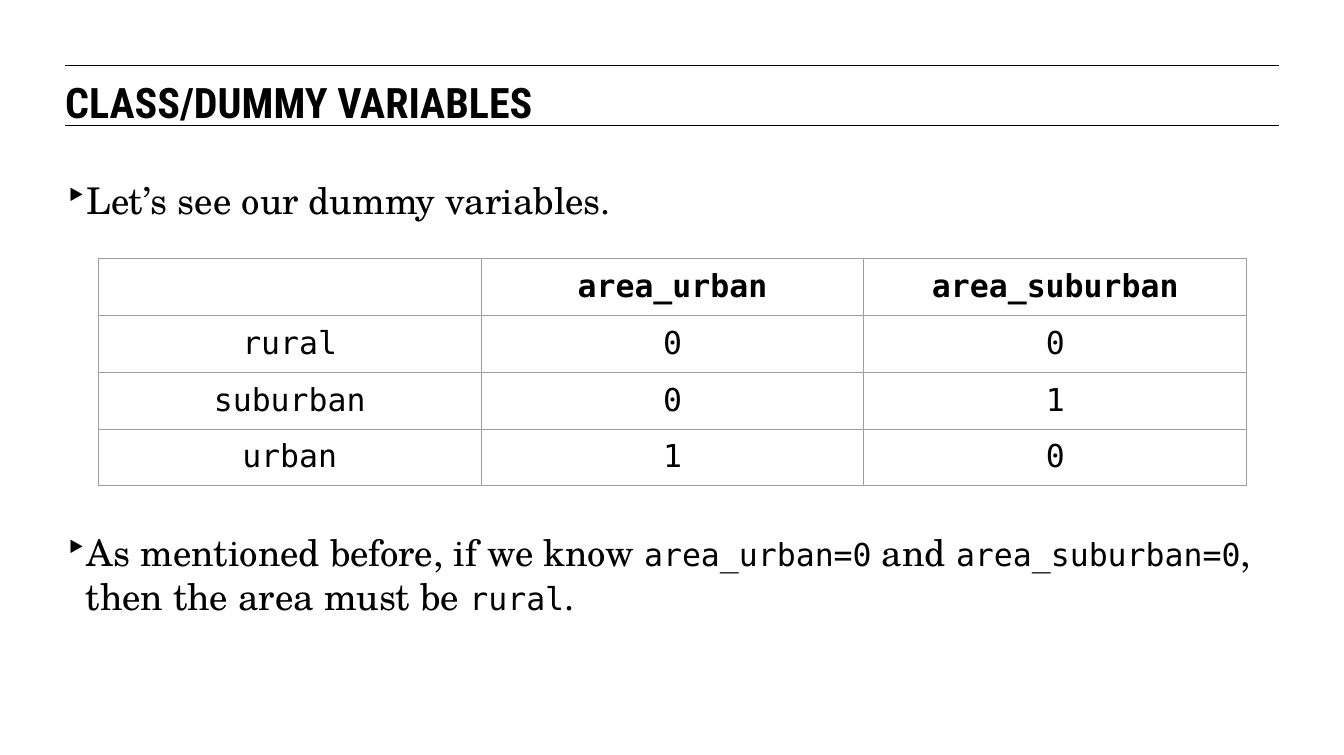
from lxml import etree
from pptx import Presentation
from pptx.dml.color import RGBColor
from pptx.enum import shapes, text
from pptx.oxml import ns
from pptx.util import Inches, Pt

BLACK = RGBColor(0x00, 0x00, 0x00)
BORDER_GRAY = RGBColor(0x9E, 0x9E, 0x9E)
TITLE_FONT = "Roboto Condensed"
BODY_FONT = "TeX Gyre Schola"
CODE_FONT = "DejaVu Sans Mono"
LEFT, RIGHT = 0.69, 13.53


def add_text(top, height, runs, font_name, size):
    """Add a full-width text box; runs are (text, is_code) pairs."""
    box = slide.shapes.add_textbox(Inches(LEFT), Inches(top), Inches(12.83), Inches(height))
    frame = box.text_frame
    frame.word_wrap = True
    frame.margin_left = frame.margin_right = frame.margin_top = frame.margin_bottom = 0
    paragraph = frame.paragraphs[0]
    for words, is_code in runs:
        run = paragraph.add_run()
        run.text = words
        run.font.name = CODE_FONT if is_code else font_name
        run.font.size = Pt(24 if is_code else size)
        run.font.color.rgb = BLACK
    return paragraph


def add_cell_borders(cell):
    properties = cell._tc.get_or_add_tcPr()
    for position, side in enumerate(("lnL", "lnR", "lnT", "lnB")):
        line = etree.Element(ns.qn("a:" + side), w=str(Pt(0.75)))
        fill = etree.SubElement(line, ns.qn("a:solidFill"))
        etree.SubElement(fill, ns.qn("a:srgbClr"), val=str(BORDER_GRAY))
        properties.insert(position, line)


presentation = Presentation()
presentation.slide_width = Inches(14.22)
presentation.slide_height = Inches(7.99)
slide = presentation.slides.add_slide(presentation.slide_layouts[6])

# Title between two rules
for y in (0.69, 1.33):
    rule = slide.shapes.add_connector(
        shapes.MSO_CONNECTOR.STRAIGHT, Inches(LEFT), Inches(y), Inches(RIGHT), Inches(y))
    rule.line.color.rgb = BLACK
    rule.line.width = Pt(0.75)
    etree.SubElement(rule._element.spPr, ns.qn("a:effectLst"))

title = add_text(0.81, 0.47, [("CLASS/DUMMY VARIABLES", False)], TITLE_FONT, 32)
title.runs[0].font.bold = True

# Bulleted statements above and below the table
statements = [
    (1.88, 0.47, [("Let’s see our dummy variables.", False)]),
    (5.61, 0.94, [
        ("As mentioned before, if we know ", False),
        ("area_urban=0", True),
        (" and ", False),
        ("area_suburban=0", True),
        (", then the area must be ", False),
        ("rural", True),
        (".", False),
    ]),
]
for top, height, runs in statements:
    paragraph = add_text(top, height, runs, BODY_FONT, 28)
    properties = paragraph._p.get_or_add_pPr()
    properties.set("marL", str(Inches(0.22)))
    properties.set("indent", str(Inches(-0.28)))
    bullet_color = etree.SubElement(properties, ns.qn("a:buClr"))
    etree.SubElement(bullet_color, ns.qn("a:srgbClr"), val=str(BLACK))
    etree.SubElement(properties, ns.qn("a:buChar"), char="‣")

# Dummy variable table
rows = [
    ("", "area_urban", "area_suburban"),
    ("rural", "0", "0"),
    ("suburban", "0", "1"),
    ("urban", "1", "0"),
]
table = slide.shapes.add_table(
    len(rows), len(rows[0]), Inches(1.04), Inches(2.74), Inches(12.15), Inches(2.34)).table
table.horz_banding = False
for row_index, row in enumerate(rows):
    for column_index, value in enumerate(row):
        cell = table.cell(row_index, column_index)
        cell.text = value
        cell.fill.background()
        cell.margin_left = cell.margin_right = cell.margin_top = cell.margin_bottom = Inches(0.1)
        add_cell_borders(cell)
        paragraph = cell.text_frame.paragraphs[0]
        paragraph.alignment = text.PP_ALIGN.CENTER
        paragraph.font.name = CODE_FONT
        paragraph.font.size = Pt(24)
        paragraph.font.bold = row_index == 0
        paragraph.font.color.rgb = BLACK

presentation.save("out.pptx")
